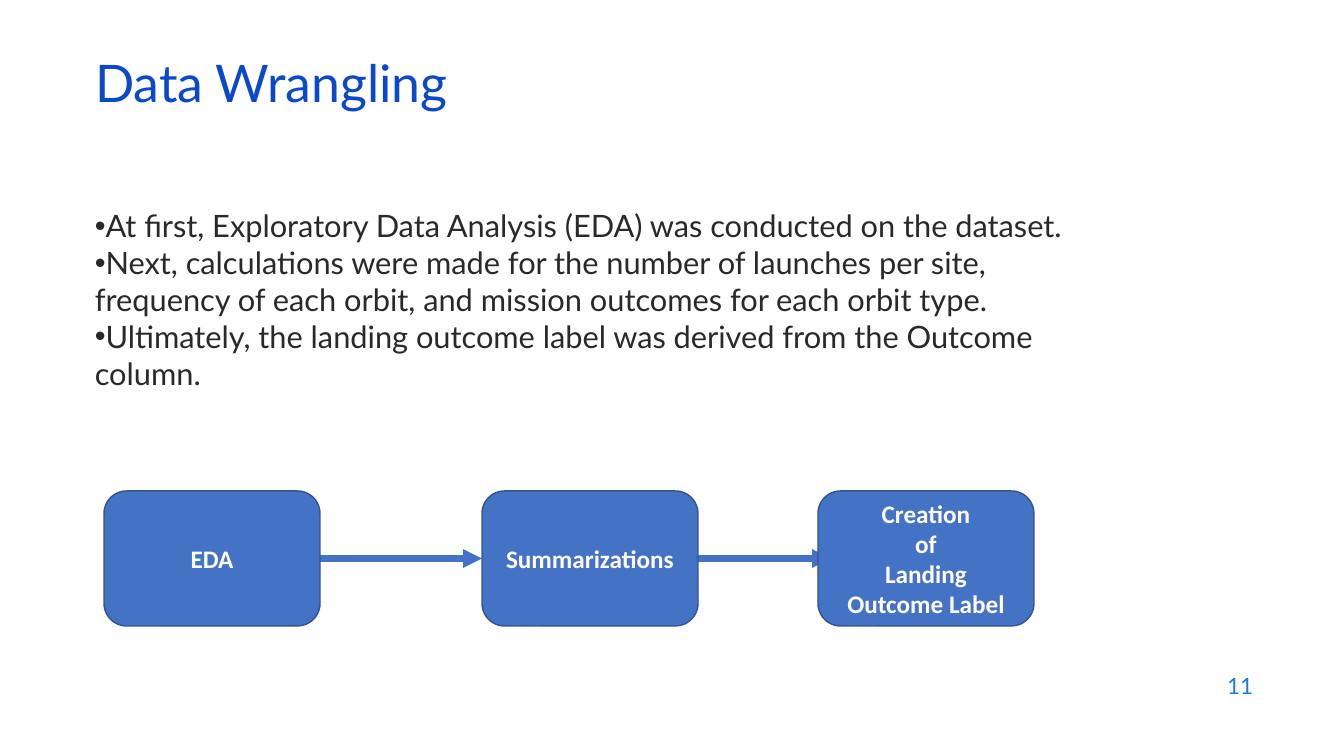
from lxml.etree import SubElement
from pptx import Presentation
from pptx.dml.color import RGBColor
from pptx.enum.shapes import MSO_CONNECTOR, MSO_SHAPE
from pptx.enum.text import MSO_ANCHOR, MSO_AUTO_SIZE, PP_ALIGN
from pptx.oxml.ns import qn
from pptx.util import Pt

PX = 914400 / 100.8
TITLE = {"name": "Lato", "size": Pt(37), "bold": False}
BODY = {"name": "Lato", "size": Pt(22)}
NUMBER = {"name": "Lato", "size": Pt(16)}
LABEL = {"name": "Calibri", "size": Pt(18), "bold": True}

POINTS = [
    "At first, Exploratory Data Analysis (EDA) was conducted on the dataset.",
    "Next, calculations were made for the number of launches per site, "
    "frequency of each orbit, and mission outcomes for each orbit type.",
    "Ultimately, the landing outcome label was derived from the Outcome column.",
]
STEPS = [
    (0, ["EDA"]),
    (378, ["Summarizations"]),
    (714, ["Creation", "of", "Landing", "Outcome Label"]),
]
ARROW_ENDS = [378, 727]
STEP_WIDTH = 216


def px(length):
    return round(length * PX)


def colour(value):
    return RGBColor.from_string(value)


def place(shape, box):
    for name, length in zip(("left", "top", "width", "height"), box):
        setattr(shape, name, px(length))


def write(shape, lines, style, ink, align, anchor, spacing=1.0, bullet=None):
    frame = shape.text_frame
    frame.word_wrap = True
    frame.auto_size = MSO_AUTO_SIZE.NONE
    frame.vertical_anchor = anchor
    for index, line in enumerate(lines):
        para = frame.paragraphs[0] if index == 0 else frame.add_paragraph()
        para.alignment = align
        para.line_spacing = spacing
        if bullet:
            properties = para._p.get_or_add_pPr()
            properties.set("marL", "0")
            properties.set("indent", "0")
            SubElement(properties, qn("a:buFont")).set("typeface", "Arial")
            SubElement(properties, qn("a:buChar")).set("char", bullet)
        span = para.add_run()
        span.text = line
        for name, value in style.items():
            setattr(span.font, name, value)
        span.font.color.rgb = colour(ink)


def add_title(page, box):
    title = page.shapes.title
    place(title, box)
    write(title, ["Data Wrangling"], TITLE, "0B49CB",
          PP_ALIGN.LEFT, MSO_ANCHOR.MIDDLE, spacing=0.7)


def add_points(page, box):
    points = page.shapes.add_textbox(*map(px, box))
    write(points, POINTS, BODY, "292929",
          PP_ALIGN.LEFT, MSO_ANCHOR.TOP, bullet="•")


def add_page_number(page, box):
    number = page.shapes.add_textbox(*map(px, box))
    write(number, ["11"], NUMBER, "1C7DDB", PP_ALIGN.RIGHT, MSO_ANCHOR.MIDDLE)


def add_step(page, box, lines):
    step = page.shapes.add_shape(MSO_SHAPE.ROUNDED_RECTANGLE, *map(px, box))
    step.shadow.inherit = False
    step.fill.solid()
    step.fill.fore_color.rgb = colour("4472C4")
    step.line.color.rgb = colour("325491")
    step.line.width = Pt(1)
    write(step, lines, LABEL, "FFFFFF", PP_ALIGN.CENTER, MSO_ANCHOR.MIDDLE)


def add_arrow(page, start, end, middle):
    arrow = page.shapes.add_connector(
        MSO_CONNECTOR.STRAIGHT, px(start), px(middle), px(end), px(middle))
    arrow.line.color.rgb = colour("4472C4")
    arrow.line.width = Pt(4.5)
    SubElement(arrow.line._get_or_add_ln(), qn("a:tailEnd")).set("type", "triangle")
    SubElement(arrow._element.spPr, qn("a:effectLst"))


def add_flow(page, box):
    left, top, width, height = box
    for (offset, lines), end in zip(STEPS, ARROW_ENDS):
        add_arrow(page, left + offset + STEP_WIDTH, left + end, top + height / 2)
    for offset, lines in STEPS:
        add_step(page, (left + offset, top, STEP_WIDTH, height), lines)


def main():
    deck = Presentation()
    deck.slide_width, deck.slide_height = px(1344), px(756)
    page = deck.slides.add_slide(deck.slide_layouts[5])
    add_title(page, (85, 59, 1159, 60))
    add_points(page, (85, 202, 990, 480))
    add_page_number(page, (961, 664, 302, 44))
    add_flow(page, (104, 491, 930, 135))
    deck.save("out.pptx")


if __name__ == "__main__":
    main()
